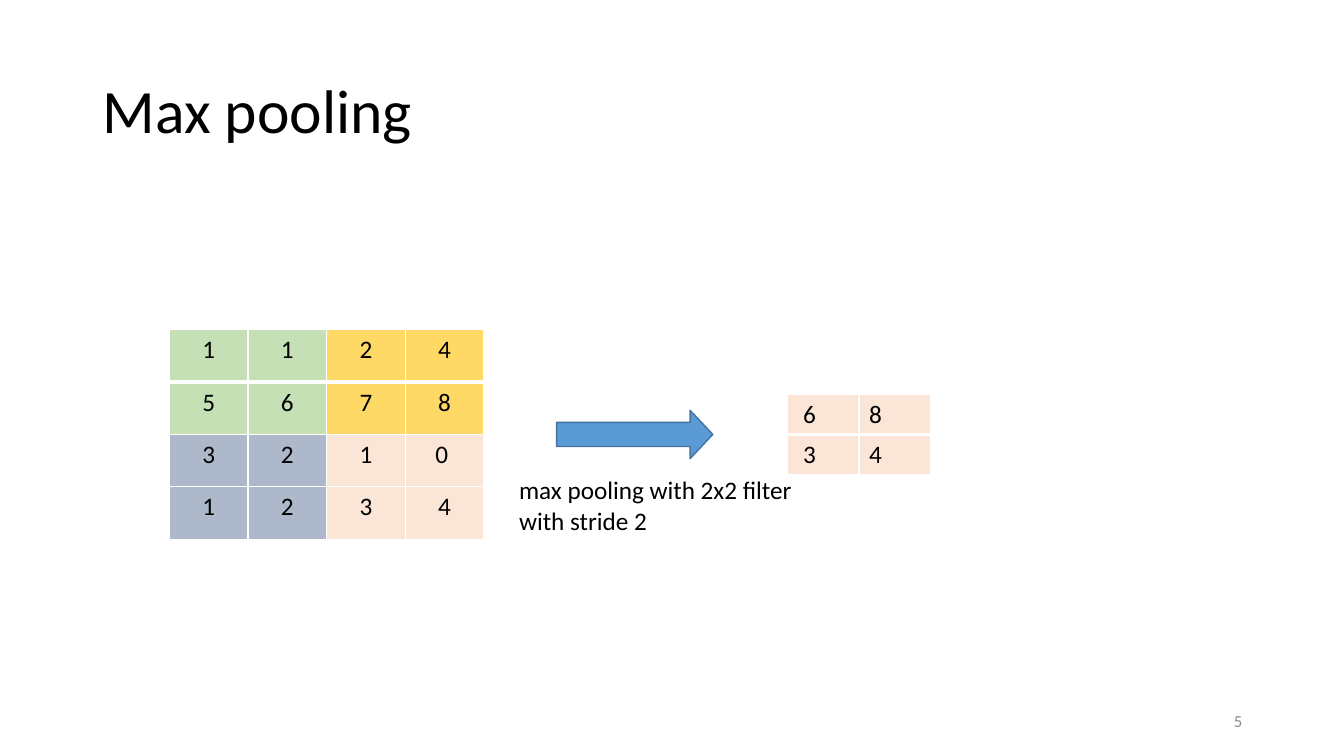
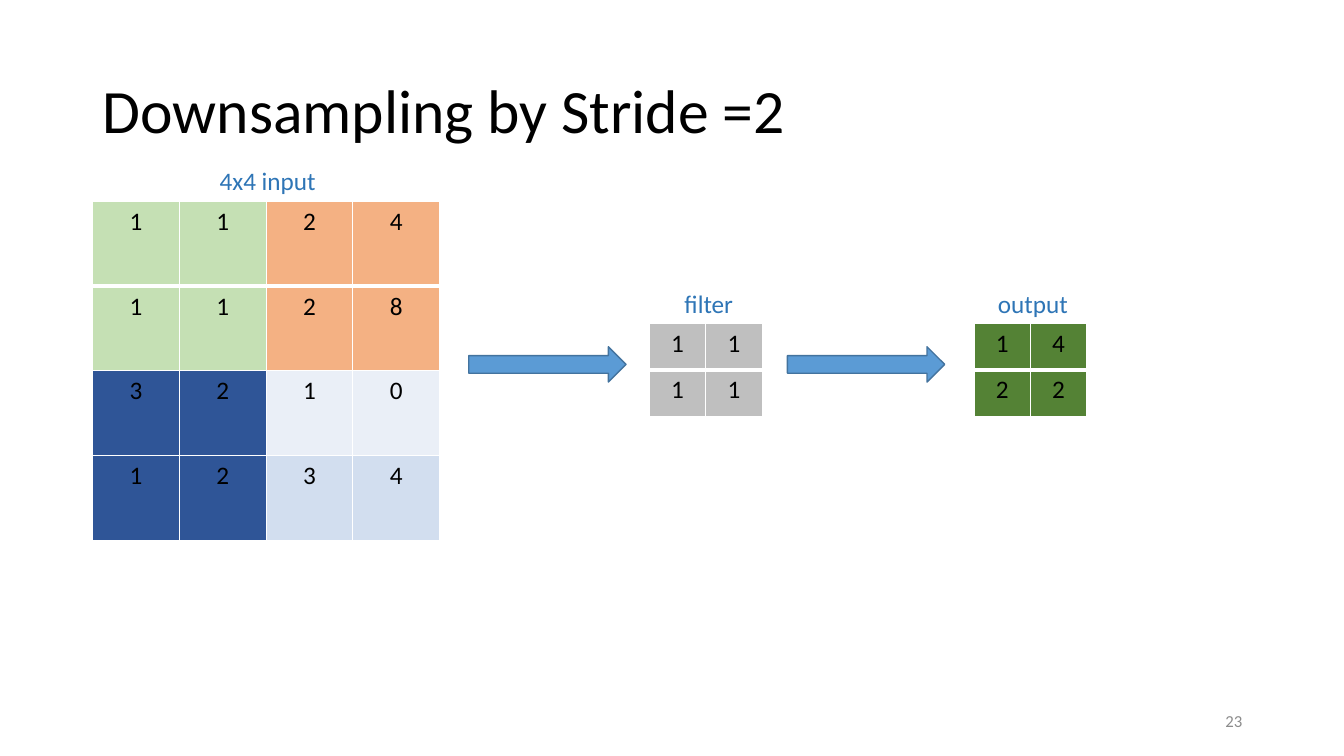
"""Build two slides that explain pooling and strided downsampling."""
from pptx import Presentation
from pptx.dml.color import RGBColor
from pptx.enum.shapes import MSO_SHAPE
from pptx.enum.text import MSO_ANCHOR, PP_ALIGN
from pptx.oxml.ns import qn
from pptx.util import Inches, Pt
from lxml.etree import SubElement

BLACK = RGBColor(0x00, 0x00, 0x00)
WHITE = RGBColor(0xFF, 0xFF, 0xFF)
GREY = RGBColor(0x8C, 0x8C, 0x8C)
LABEL_BLUE = RGBColor(0x2E, 0x75, 0xB6)
ARROW_BLUE = RGBColor(0x5B, 0x9B, 0xD5)
ARROW_EDGE = RGBColor(0x43, 0x73, 0x9E)
LIGHT_GREEN = RGBColor(0xC5, 0xE0, 0xB4)
DARK_GREEN = RGBColor(0x54, 0x82, 0x35)
YELLOW = RGBColor(0xFF, 0xD9, 0x66)
ORANGE = RGBColor(0xF4, 0xB1, 0x83)
PEACH = RGBColor(0xFB, 0xE5, 0xD6)
SLATE = RGBColor(0xAD, 0xB9, 0xCA)
NAVY = RGBColor(0x2F, 0x55, 0x97)
PALE_BLUE = RGBColor(0xEA, 0xEF, 0xF7)
SOFT_BLUE = RGBColor(0xD2, 0xDE, 0xEF)
SILVER = RGBColor(0xBF, 0xBF, 0xBF)
FONT = "Calibri"


def write_text(frame, text, size=18, color=BLACK, align=PP_ALIGN.LEFT, spacing=1.0):
    """Fill a text frame, one paragraph per line of text."""
    for index, line in enumerate(text.split("\n")):
        para = frame.add_paragraph() if index else frame.paragraphs[0]
        para.alignment = align
        para.line_spacing = spacing
        span = para.add_run()
        span.text = line
        span.font.name = FONT
        span.font.size = Pt(size)
        span.font.color.rgb = color


def set_borders(cell, **widths):
    """Draw white cell borders with the given widths in points."""
    properties = cell._tc.get_or_add_tcPr()
    for side in "LRTB":
        edge = SubElement(properties, qn(f"a:ln{side}"), w=str(Pt(widths.get(side, 1))))
        fill = SubElement(edge, qn("a:solidFill"))
        SubElement(fill, qn("a:srgbClr"), val=str(WHITE))


def quadrants(top_left, top_right, bottom_left, bottom_right):
    """Return fills for a 4x4 grid whose 2x2 blocks share a colour."""
    top = [top_left] * 2 + [top_right] * 2
    bottom = [bottom_left] * 2 + [bottom_right] * 2
    return [top, top, bottom, bottom]


def plain(color):
    """Return fills for a 2x2 grid in one colour."""
    return [[color] * 2] * 2


class SlideBuilder:
    """Hold the deck, its style and the current slide."""

    def __init__(self):
        """Start an empty widescreen deck."""
        self.deck = Presentation()
        self.deck.slide_width = Inches(13.33)
        self.deck.slide_height = Inches(7.5)
        self.page = None

    def start(self, title, number):
        """Add a slide with its title and page number."""
        self.page = self.deck.slides.add_slide(self.deck.slide_layouts[6])
        self.text(0.92, 0.4, 11.5, 1.45, title, anchor=MSO_ANCHOR.MIDDLE,
                  size=44, spacing=0.9)
        self.text(9.42, 6.95, 3, 0.4, str(number), anchor=MSO_ANCHOR.MIDDLE,
                  size=12, color=GREY, align=PP_ALIGN.RIGHT)

    def text(self, left, top, width, height, text, anchor=MSO_ANCHOR.TOP, **style):
        """Add a wrapping text box."""
        box = self.page.shapes.add_textbox(
            Inches(left), Inches(top), Inches(width), Inches(height))
        box.text_frame.word_wrap = True
        box.text_frame.vertical_anchor = anchor
        write_text(box.text_frame, text, **style)

    def label(self, left, top, width, text):
        """Add a blue caption above a grid."""
        self.text(left, top, width, 0.4, text, color=LABEL_BLUE)

    def grid(self, left, top, cell_width, cell_height, values, fills,
             align=PP_ALIGN.CENTER):
        """Add a table of coloured cells with a thick rule below the first row."""
        rows, columns = len(values), len(values[0])
        table = self.page.shapes.add_table(
            rows, columns, Inches(left), Inches(top),
            Inches(cell_width * columns), Inches(cell_height * rows)).table
        table.first_row = False
        table.horz_banding = False
        for column in table.columns:
            column.width = Inches(cell_width)
        for y, row in enumerate(table.rows):
            row.height = Inches(cell_height)
            for x, cell in enumerate(row.cells):
                set_borders(cell, T=3 if y == 1 else 1, B=3 if y == 0 else 1)
                cell.fill.solid()
                cell.fill.fore_color.rgb = fills[y][x]
                write_text(cell.text_frame, values[y][x], align=align)

    def arrow(self, left, top, width, height, head=0.5):
        """Add a block arrow that points right."""
        arrow = self.page.shapes.add_shape(
            MSO_SHAPE.RIGHT_ARROW, Inches(left), Inches(top), Inches(width), Inches(height))
        arrow.adjustments[1] = head
        arrow.shadow.inherit = False
        arrow.fill.solid()
        arrow.fill.fore_color.rgb = ARROW_BLUE
        arrow.line.color.rgb = ARROW_EDGE
        arrow.line.width = Pt(1)


def max_pooling(builder):
    """Build the max pooling slide."""
    builder.start("Max pooling", 5)
    builder.grid(1.68, 3.27, 0.78, 0.52, ["1124", "5678", ["3", "2", "1", "0 "], "1234"],
                 quadrants(LIGHT_GREEN, YELLOW, SLATE, PEACH))
    builder.arrow(5.52, 4.07, 1.55, 0.48, head=0.47)
    builder.text(5.05, 4.66, 2.94, 0.71, "max pooling with 2x2 filter\nwith stride 2")
    builder.grid(7.81, 3.91, 0.71, 0.4, [[" 6", "8"], [" 3", "4"]], plain(PEACH),
                 align=PP_ALIGN.LEFT)


def strided_downsampling(builder):
    """Build the slide on downsampling by stride."""
    builder.start("Downsampling by Stride =2", 23)
    fills = quadrants(LIGHT_GREEN, ORANGE, NAVY, PALE_BLUE)
    fills[3] = [NAVY] * 2 + [SOFT_BLUE] * 2
    builder.grid(0.92, 2, 0.86, 0.84, ["1124", "1128", "3210", "1234"], fills)
    builder.label(2.08, 1.59, 1.47, "4x4 input")
    stages = [
        (4.65, 6.44, 6.69, "filter", ["11", "11"], SILVER),
        (7.81, 9.66, 9.8, "output", ["14", "22"], DARK_GREEN),
    ]
    for arrow_left, grid_left, label_left, name, values, color in stages:
        builder.arrow(arrow_left, 3.44, 1.56, 0.35)
        builder.grid(grid_left, 3.21, 0.56, 0.46, values, plain(color))
        builder.label(label_left, 2.81, 1.03, name)


def main():
    """Build and save the deck."""
    builder = SlideBuilder()
    max_pooling(builder)
    strided_downsampling(builder)
    builder.deck.save("out.pptx")


if __name__ == "__main__":
    main()
